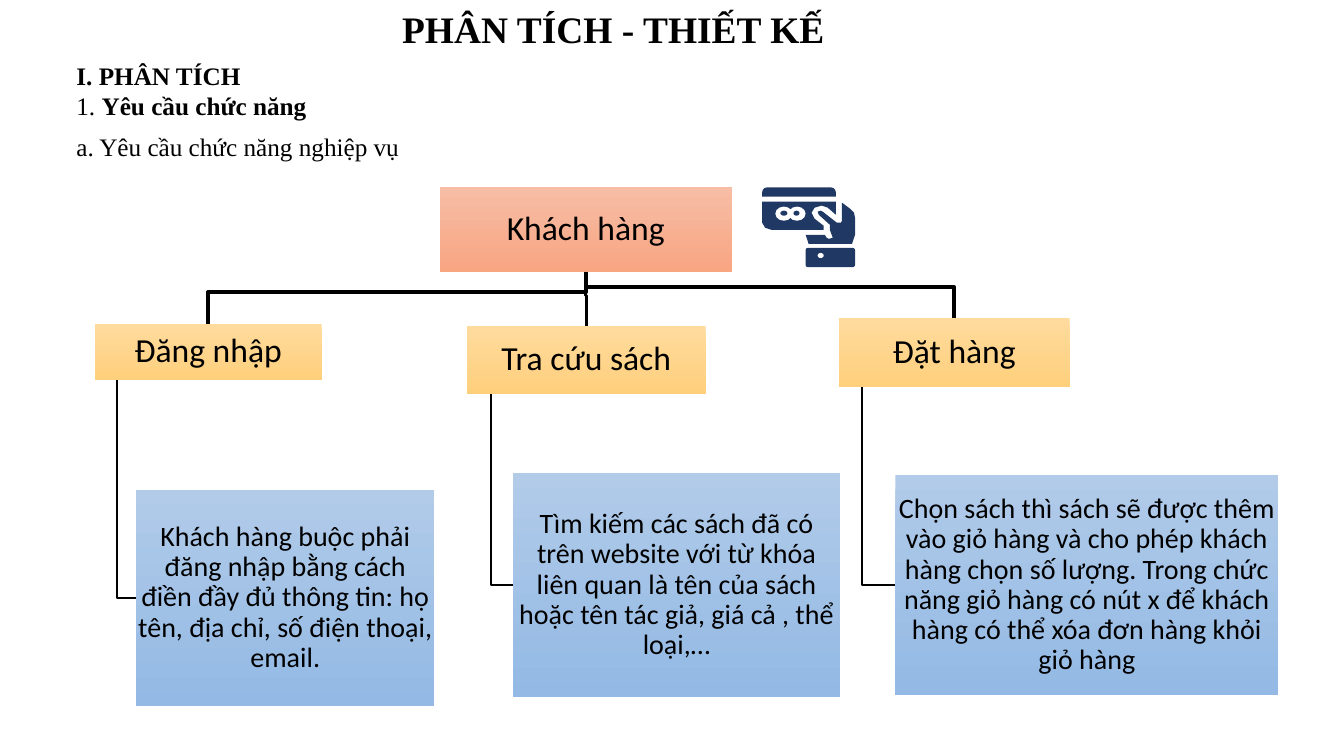
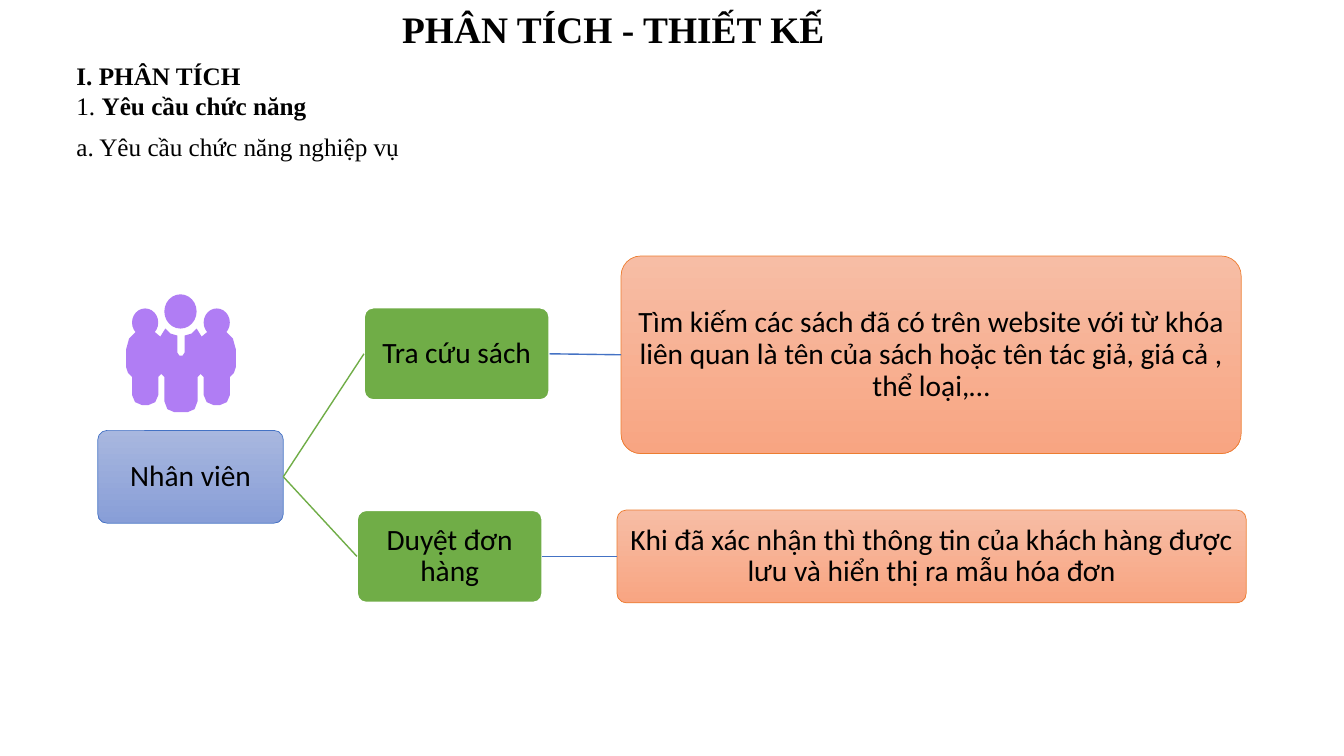
from pptx import Presentation
from pptx.dml.color import RGBColor
from pptx.enum.shapes import MSO_CONNECTOR, MSO_SHAPE
from pptx.enum.text import MSO_ANCHOR, MSO_AUTO_SIZE, PP_ALIGN
from pptx.oxml.ns import qn
from pptx.util import Inches, Pt

RECT, ROUND = MSO_SHAPE.RECTANGLE, MSO_SHAPE.ROUNDED_RECTANGLE
OVAL, CAP = MSO_SHAPE.OVAL, MSO_SHAPE.ROUND_2_SAME_RECTANGLE
STRAIGHT = MSO_CONNECTOR.STRAIGHT
CENTER, MIDDLE, BOTTOM = PP_ALIGN.CENTER, MSO_ANCHOR.MIDDLE, MSO_ANCHOR.BOTTOM
GROW = MSO_AUTO_SIZE.SHAPE_TO_FIT_TEXT
NO_FIT = MSO_AUTO_SIZE.NONE
LEFT, RIGHT = 1, 3

BLACK = RGBColor(0x00, 0x00, 0x00)
WHITE = RGBColor(0xFF, 0xFF, 0xFF)
NAVY = RGBColor(0x20, 0x38, 0x64)
PURPLE = RGBColor(0xB0, 0x7D, 0xF4)
GREEN = RGBColor(0x70, 0xAD, 0x47)
BLUE = RGBColor(0x44, 0x72, 0xC4)
ORANGE = RGBColor(0xED, 0x7D, 0x31)
PEACH = (RGBColor(0xF7, 0xBD, 0xA5), RGBColor(0xF8, 0xA5, 0x82))
GOLD = (RGBColor(0xFF, 0xDB, 0x9E), RGBColor(0xFF, 0xD0, 0x7C))
SKY = (RGBColor(0xB1, 0xCB, 0xE9), RGBColor(0x93, 0xB9, 0xE4))
INDIGO = (RGBColor(0xA8, 0xB7, 0xDF), RGBColor(0x88, 0x9E, 0xD7))
SERIF, SANS = "Times New Roman", "Calibri"

TITLE = "PHÂN TÍCH - THIẾT KẾ"
# top, width, wrap, runs of (text, bold)
HEADS = [
    (0.55, 1.84, True, [("I. PHÂN TÍCH", True)]),
    (0.85, 2.57, False, [("1. ", False), ("Yêu cầu chức năng", True)]),
    (1.25, 3.45, False, [("a. Yêu cầu chức năng nghiệp vụ", False)]),
]
SEARCH = ("Tìm kiếm các sách đã có trên website với từ khóa liên quan "
          "là tên của sách hoặc tên tác giả, giá cả , thể loại,…")

CLIENT = ("Khách hàng", (4.36, 1.86, 2.9, 0.84))
# task, its place, height of the bend, line width, detail, its place
TASKS = [
    ("Đặt hàng", (8.32, 3.15, 2.29, 0.69), 2.85, 3,
     "Chọn sách thì sách sẽ được thêm vào giỏ hàng và cho phép khách hàng "
     "chọn số lượng. Trong chức năng giỏ hàng có nút x để khách hàng có thể "
     "xóa đơn hàng khỏi giỏ hàng", (8.88, 4.71, 3.8, 2.19)),
    ("Tra cứu sách", (4.63, 3.23, 2.37, 0.68), 2.93, 2.25,
     SEARCH, (5.09, 4.69, 3.24, 2.23)),
    ("Đăng nhập", (0.94, 3.21, 2.25, 0.56), 2.9, 3,
     "Khách hàng buộc phải đăng nhập bằng cách điền đầy đủ thông tin: họ tên, "
     "địa chỉ, số điện thoại, email.", (1.35, 4.86, 2.96, 2.14)),
]

STAFF = ("Nhân viên", (0.97, 4.27, 1.84, 0.92))
DUTIES = [
    ("Tra cứu sách", (3.61, 3.05, 1.84, 0.92),
     SEARCH, (6.16, 2.54, 6.15, 1.96)),
    ("Duyệt đơn hàng", (3.54, 5.06, 1.84, 0.92),
     "Khi đã xác nhận thì thông tin của khách hàng được lưu và hiển thị ra "
     "mẫu hóa đơn", (6.12, 5.06, 6.24, 0.92)),
]

CARD = [(7.56, 2), (7.56, 2.21), (7.59, 2.26), (7.65, 2.28), (8.17, 2.28),
        (8.17, 2.24), (8.08, 2.17), (8.05, 2.11), (8.08, 2.06), (8.15, 2.04),
        (8.21, 2.06), (8.29, 2.13), (8.29, 2)]
HAND = [(8.35, 2.01), (8.43, 2.07), (8.47, 2.11), (8.48, 2.16), (8.48, 2.33),
        (8.45, 2.42), (8.02, 2.42), (7.99, 2.33), (8.18, 2.33), (8.2, 2.36),
        (8.22, 2.37), (8.26, 2.36), (8.23, 2.28), (8.23, 2.23), (8.12, 2.13),
        (8.11, 2.1), (8.14, 2.09), (8.16, 2.1), (8.3, 2.21), (8.34, 2.21),
        (8.35, 2.19)]
CARD_BITS = [
    (CAP, (7.56, 1.86, 0.73, 0.09), NAVY, 0.5),
    (OVAL, (7.69, 2.05, 0.17, 0.14), WHITE, None),
    (OVAL, (7.82, 2.05, 0.17, 0.14), WHITE, None),
    (OVAL, (7.74, 2.09, 0.07, 0.05), NAVY, None),
    (OVAL, (7.87, 2.09, 0.06, 0.05), NAVY, None),
    (ROUND, (7.99, 2.46, 0.49, 0.19), NAVY, 0.12),
    (OVAL, (8.11, 2.51, 0.06, 0.05), WHITE, None),
]
AXIS = 1.795
HALF = [(1.73, 4.09), (1.66, 4.06), (1.63, 3.98), (1.63, 3.74), (1.6, 3.71),
        (1.57, 3.74), (1.57, 3.92), (1.54, 3.99), (1.47, 4.02), (1.41, 4.02),
        (1.34, 3.99), (1.31, 3.92), (1.31, 3.74), (1.27, 3.7), (1.25, 3.64),
        (1.25, 3.47), (1.28, 3.36), (1.35, 3.29), (1.53, 3.29), (1.59, 3.34),
        (1.64, 3.26), (1.69, 3.31), (1.76, 3.33), (1.76, 3.5), (1.78, 3.53)]
FACES = [(1.31, 3.06, 0.26, 0.28), (1.63, 2.92, 0.32, 0.34),
         (2.02, 3.06, 0.26, 0.28)]


def inch(vals):
    return [Inches(v) for v in vals]


def style(line, color, width):
    line.color.rgb = color
    line.width = Pt(width)


def paint(shape, fill, edge=None):
    """Fill with one colour, a pair from top to bottom, or nothing."""
    shape.shadow.inherit = False
    if fill is None:
        shape.fill.background()
    elif isinstance(fill, RGBColor):
        shape.fill.solid()
        shape.fill.fore_color.rgb = fill
    else:
        shape.fill.gradient()
        shape.fill.gradient_angle = 270
        for stop, color in zip(shape.fill.gradient_stops, fill):
            stop.color.rgb = color
    if edge:
        style(shape.line, *edge)
    else:
        shape.line.fill.background()


def write(para, runs, name, size):
    for text, bold in runs:
        run = para.add_run()
        run.text = text
        form = {"name": name, "size": Pt(size), "bold": bold}
        for key, val in form.items():
            setattr(run.font, key, val)
        run.font.color.rgb = BLACK


def frame(shape, **form):
    text = shape.text_frame
    for key, val in form.items():
        setattr(text, key, val)
    return text.paragraphs[0]


def pads(gap):
    return {"margin_" + side: Inches(gap)
            for side in ("left", "top", "right", "bottom")}


def preset(slide, kind, at, fill, edge=None, bend=None):
    shape = slide.shapes.add_shape(kind, *inch(at))
    if bend is not None:
        shape.adjustments[0] = bend
    paint(shape, fill, edge)
    return shape


def box(slide, kind, at, text, size, fill, edge=None, gap=0.01):
    bend = 0.1 if kind == ROUND else None
    shape = preset(slide, kind, at, fill, edge, bend)
    para = frame(shape, word_wrap=True, vertical_anchor=MIDDLE, **pads(gap))
    para.alignment = CENTER
    para.line_spacing = 0.9
    write(para, [(text, False)], SANS, size)
    return shape


def draw(slide, dots, fill=None, edge=None):
    """Outline through dots, closed when it is filled."""
    first, *rest = [inch(dot) for dot in dots]
    form = slide.shapes.build_freeform(*first)
    form.add_line_segments(rest, close=fill is not None)
    paint(form.convert_to_shape(), fill, edge)


def join(slide, start, end, color):
    line = slide.shapes.add_connector(STRAIGHT, 0, 0, 0, 0)
    line.begin_connect(start, RIGHT)
    line.end_connect(end, LEFT)
    style(line.line, color, 1)
    props = line._element.spPr
    props.append(props.makeelement(qn("a:effectLst"), {}))


def start(deck):
    slide = deck.slides.add_slide(deck.slide_layouts[5])
    title = slide.shapes.title
    title.left, title.top, title.width, title.height = inch((3.8, 0, 4.57, 0.64))
    para = frame(title, word_wrap=True, auto_size=NO_FIT,
                 vertical_anchor=BOTTOM, **pads(0.13))
    para.alignment = CENTER
    write(para, [(TITLE, True)], SERIF, 26.7)
    for top, wide, wrap, runs in HEADS:
        area = slide.shapes.add_textbox(*inch((0.66, top, wide, 0.4)))
        write(frame(area, word_wrap=wrap, auto_size=GROW), runs, SERIF, 18)
    return slide


def client(slide):
    name, (x, y, w, h) = CLIENT
    mid, base = x + w / 2, y + h
    for _, (left, top, wide, high), bend, thick, _, leaf in TASKS:
        end = left + wide / 2
        draw(slide, [(mid, base), (mid, bend), (end, bend), (end, top)],
             edge=(BLACK, thick))
        stem, level = left + wide / 10, leaf[1] + leaf[3] / 2
        draw(slide, [(stem, top + high), (stem, level), (leaf[0], level)],
             edge=(BLACK, 1.5))
    box(slide, RECT, (x, y, w, h), name, 24, PEACH, gap=0.02)
    for task, at, _, _, detail, leaf in TASKS:
        box(slide, RECT, at, task, 24, GOLD, gap=0.02)
        box(slide, RECT, leaf, detail, 20, SKY)
    for dots in (CARD, HAND):
        draw(slide, dots, NAVY)
    for kind, at, color, bend in CARD_BITS:
        preset(slide, kind, at, color, bend=bend)


def staff(slide):
    name, at = STAFF
    root = box(slide, ROUND, at, name, 21, INDIGO, (BLUE, 0.5))
    for duty, at, detail, leaf in DUTIES:
        node = box(slide, ROUND, at, duty, 21, GREEN, (WHITE, 1.5))
        note = box(slide, ROUND, leaf, detail, 21, PEACH, (ORANGE, 0.5))
        join(slide, root, node, GREEN)
        join(slide, node, note, BLUE)
    twin = [(2 * AXIS - x, y) for x, y in reversed(HALF)]
    draw(slide, HALF + twin, PURPLE)
    for at in FACES:
        preset(slide, OVAL, at, PURPLE)


def main():
    deck = Presentation()
    deck.slide_width, deck.slide_height = inch((13.33, 7.5))
    for fill in (client, staff):
        fill(start(deck))
    deck.save("out.pptx")


if __name__ == "__main__":
    main()
